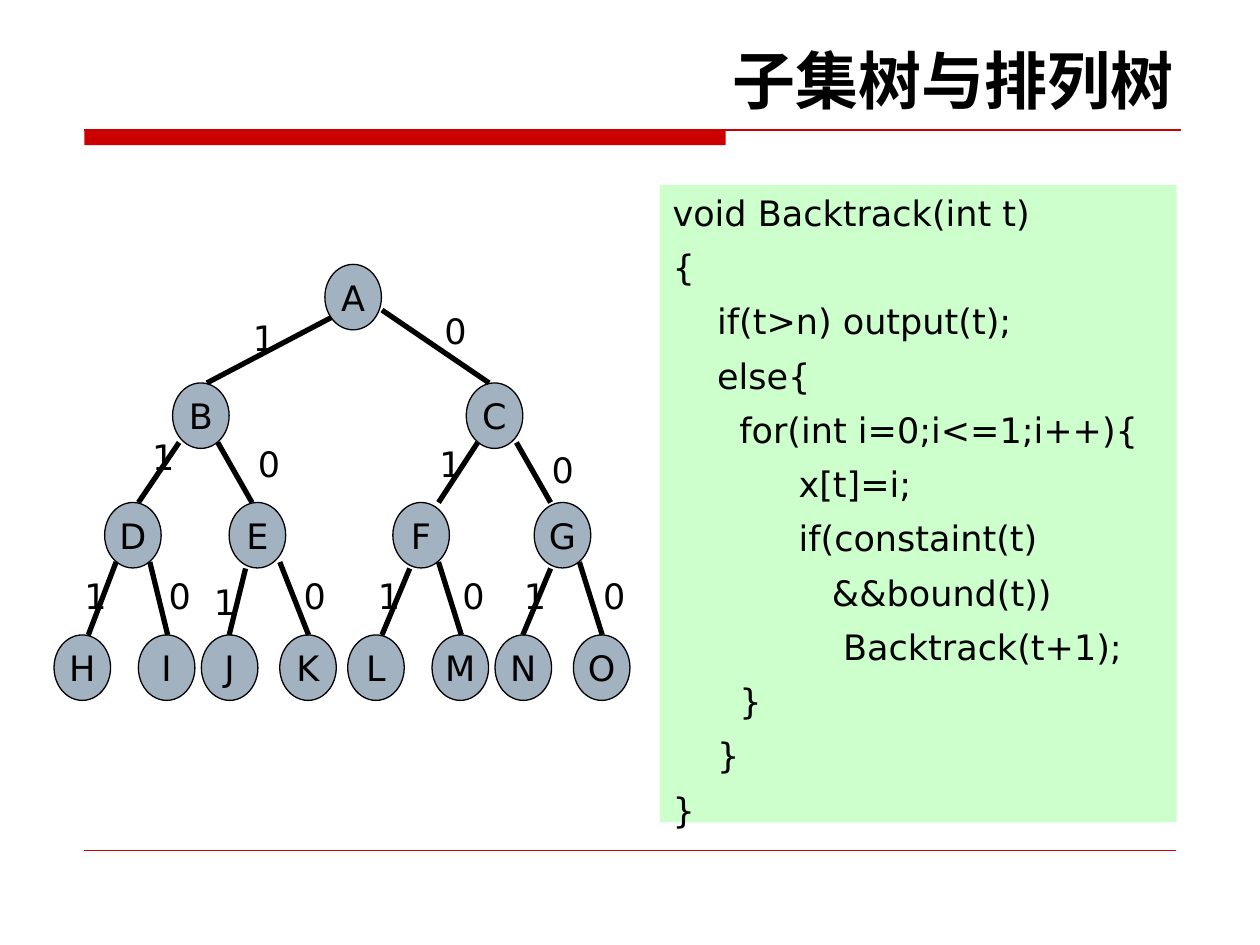
from lxml.etree import SubElement
from pptx import Presentation
from pptx.dml.color import RGBColor
from pptx.enum.shapes import MSO_CONNECTOR as Connector, MSO_SHAPE as Shape
from pptx.enum.text import MSO_ANCHOR as Anchor, PP_ALIGN as Align
from pptx.oxml.ns import qn
from pptx.util import Cm, Pt

BLACK = RGBColor(0x00, 0x00, 0x00)
RED = RGBColor(0xCC, 0x00, 0x00)
GREY_BLUE = RGBColor(0xA3, 0xB2, 0xC1)
PALE_GREEN = RGBColor(0xCC, 0xFF, 0xCC)

NODE_WIDTH, NODE_HEIGHT = 1.14, 1.32
LEVEL_TOPS = (5.33, 7.72, 10.13, 12.8)
ROOT_LEFT = 6.55
# Name, left of node, start of edge, x of edge end, left and top of edge label
CHILDREN = (
    ("B", 3.48, (6.68, 6.4), 4.17, (4.85, 6.25)),
    ("C", 9.4, (7.7, 6.25), 9.86, (8.71, 6.12)),
    ("D", 2.11, (3.61, 8.92), 2.79, (2.82, 8.66)),
    ("E", 4.62, (4.39, 8.92), 5.08, (4.95, 8.79)),
    ("F", 7.92, (9.63, 8.92), 8.84, (8.61, 8.79)),
    ("G", 10.77, (10.41, 8.92), 11.1, (10.87, 8.92)),
    ("H", 1.09, (2.34, 11.33), 1.78, (1.45, 11.46)),
    ("I", 2.79, (3.02, 11.33), 3.38, (3.15, 11.46)),
    ("J", 4.06, (4.95, 11.46), 4.62, (4.06, 11.58)),
    ("K", 5.64, (5.64, 11.33), 6.22, (5.87, 11.46)),
    ("L", 7.01, (8.26, 11.46), 7.7, (7.37, 11.46)),
    ("M", 8.71, (8.84, 11.33), 9.3, (9.07, 11.46)),
    ("N", 9.98, (11.1, 11.46), 10.54, (10.31, 11.46)),
    ("O", 11.56, (11.68, 11.33), 12.14, (11.91, 11.46)),
)

CODE = """void Backtrack(int t)
{
    if(t>n) output(t);
    else{
      for(int i=0;i<=1;i++){
\tx[t]=i;
\tif(constaint(t)
\t   &&bound(t))
\t    Backtrack(t+1);
      }
    }
}"""


def write(shape, text, size=20, bold=False, align=Align.LEFT, anchor=Anchor.TOP,
          wrap=True, gap=0, tab=None):
    """Fill a shape with one paragraph per line; gap separates them, tab is a stop."""
    frame = shape.text_frame
    frame.word_wrap = wrap
    frame.vertical_anchor = anchor
    for index, line in enumerate(text.split("\n")):
        para = frame.add_paragraph() if index else frame.paragraphs[0]
        para.alignment = align
        para.space_before = Pt(gap if index else 0)
        if tab:
            stops = SubElement(para._p.get_or_add_pPr(), qn("a:tabLst"))
            SubElement(stops, qn("a:tab"), pos=str(tab), algn="l")
        span = para.add_run()
        span.text = line
        font = span.font
        font.size, font.bold, font.name = Pt(size), bold, Page.FONT
        font.color.rgb = BLACK
        SubElement(span._r.get_or_add_rPr(), qn("a:ea"), typeface=Page.FONT)


class Page:
    FONT = "DejaVu Sans"

    def __init__(self, deck):
        self.shapes = deck.slides.add_slide(deck.slide_layouts[6]).shapes

    def shape(self, kind, left, top, width, height, fill, outline=None):
        shape = self.shapes.add_shape(kind, Cm(left), Cm(top), Cm(width), Cm(height))
        shape.shadow.inherit = False
        shape.fill.solid()
        shape.fill.fore_color.rgb = fill
        if outline is None:
            shape.line.fill.background()
        else:
            shape.line.color.rgb = outline
            shape.line.width = Pt(0.75)
        return shape

    def line(self, start, end, color, weight):
        line = self.shapes.add_connector(
            Connector.STRAIGHT, *(Cm(value) for value in (*start, *end)))
        line.line.color.rgb = color
        line.line.width = Pt(weight)
        SubElement(line._element.spPr, qn("a:effectLst"))

    def text(self, text, left, top, width, height, **style):
        box = self.shapes.add_textbox(Cm(left), Cm(top), Cm(width), Cm(height))
        write(box, text, **style)

    def node(self, name, left, top):
        oval = self.shape(Shape.OVAL, left, top, NODE_WIDTH, NODE_HEIGHT,
                          GREY_BLUE, outline=BLACK)
        write(oval, name, align=Align.CENTER, anchor=Anchor.MIDDLE, wrap=False)

    def code(self, text, left, top, width, height):
        panel = self.shape(Shape.RECTANGLE, left, top, width, height, PALE_GREEN)
        write(panel, text, gap=7, tab=Cm(2.54))


def child_top(index):
    """Top of a child's level, with children counted from 0 in breadth-first order."""
    return LEVEL_TOPS[(index + 2).bit_length() - 1]


def draw_tree(page):
    page.node("A", ROOT_LEFT, LEVEL_TOPS[0])
    for index, (name, left, *_) in enumerate(CHILDREN):
        page.node(name, left, child_top(index))
    for index, (_, _, start, end_x, _) in enumerate(CHILDREN):
        page.line(start, (end_x, child_top(index)), BLACK, 3)
    for index, (*_, place) in enumerate(CHILDREN):
        page.text("10"[index % 2], *place, 0.56, 1.12, align=Align.CENTER)


def main():
    deck = Presentation()
    deck.slide_width, deck.slide_height = Cm(25.4), Cm(19.05)
    page = Page(deck)
    page.shape(Shape.RECTANGLE, 1.7, 2.62, 12.93, 0.31, RED)
    page.line((1.7, 2.62), (23.8, 2.62), RED, 0.75)
    page.line((1.7, 17.15), (23.7, 17.15), RED, 0.25)
    page.text("子集树与排列树", 1.3, 0.71, 22.6, 1.78,
              size=36, bold=True, align=Align.RIGHT)
    draw_tree(page)
    page.code(CODE, 13.31, 3.73, 10.41, 12.85)
    deck.save("out.pptx")


if __name__ == "__main__":
    main()
